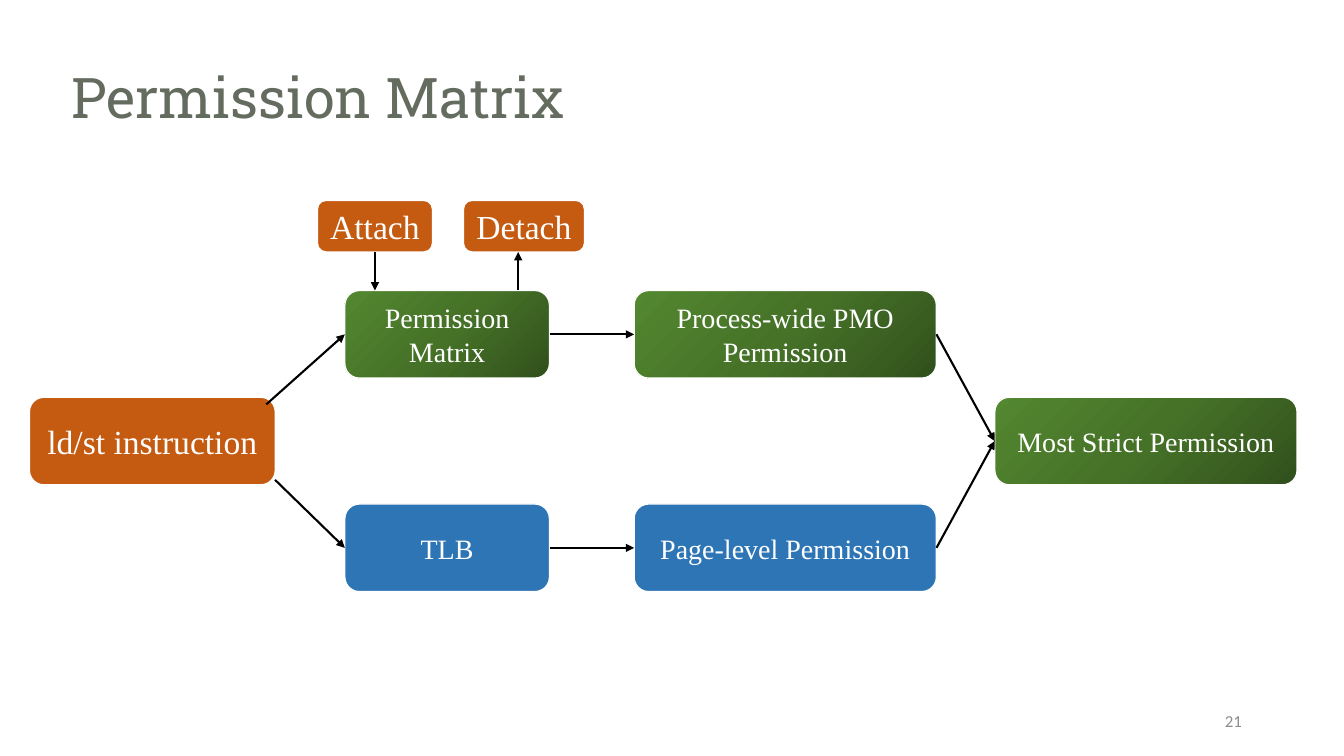
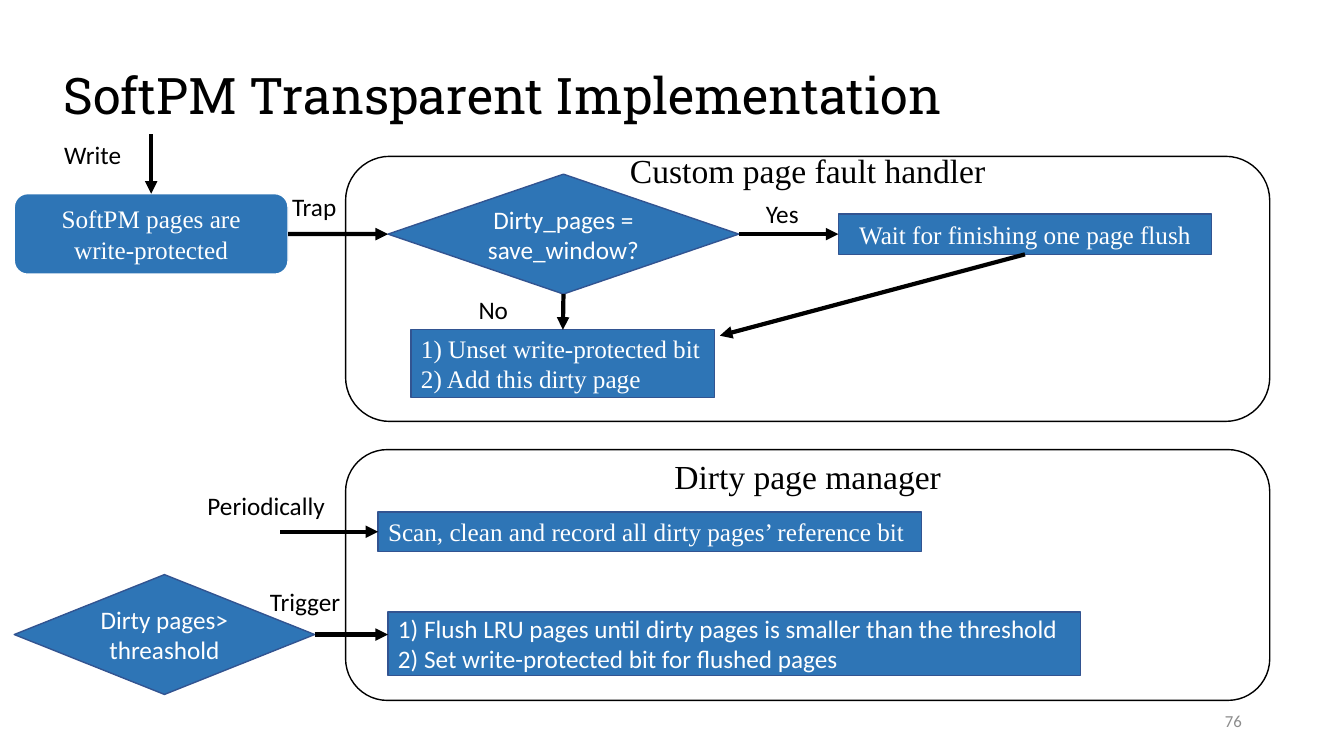
from copy import deepcopy
from dataclasses import dataclass

from lxml.etree import SubElement
from pptx import Presentation
from pptx.dml.color import RGBColor
from pptx.enum.shapes import MSO_CONNECTOR, MSO_SHAPE
from pptx.enum.text import MSO_ANCHOR, MSO_AUTO_SIZE, PP_ALIGN
from pptx.oxml.ns import qn
from pptx.shapes.autoshape import Shape
from pptx.util import Cm, Pt


@dataclass(frozen=True)
class Theme:
    # Colours
    white: str = "FFFFFF"
    black: str = "000000"
    sage: str = "646B5F"
    grey: str = "8C8C8C"
    orange: str = "C55A11"
    blue: str = "2E75B6"
    navy: str = "325491"
    greens: tuple = ("31501C", "467228", "538730")
    # Fonts
    heading: str = "Roboto Slab"
    serif: str = "Times New Roman"
    sans: str = "Calibri"
    # Type sizes and line widths in points
    title: int = 40
    long_title: int = 36
    large: int = 24
    medium: int = 20
    body: int = 18
    small: int = 12
    outline: float = 1
    thin_arrow: float = 1.5
    thick_arrow: float = 3


T = Theme()
TOP, LEFT, BOTTOM, RIGHT = range(4)


@dataclass(frozen=True)
class Box:
    """A region in centimetres."""
    x: float
    y: float
    w: float
    h: float

    def sub(self, dx, dy, w, h):
        return Box(self.x + dx, self.y + dy, w, h)

    def point(self, dx, dy):
        return self.x + dx, self.y + dy

    def lengths(self):
        return Cm(self.x), Cm(self.y), Cm(self.w), Cm(self.h)


def rgb(value):
    return RGBColor.from_string(value)


# Text
def write(tf, lines, size, font, color, align=PP_ALIGN.LEFT,
          anchor=MSO_ANCHOR.MIDDLE, spacing=None):
    tf.word_wrap = True
    tf.auto_size = MSO_AUTO_SIZE.NONE
    tf.vertical_anchor = anchor
    for i, line in enumerate(lines):
        p = tf.paragraphs[0] if i == 0 else tf.add_paragraph()
        p.alignment = align
        if spacing:
            p.line_spacing = spacing
        r = p.add_run()
        r.text = line
        r.font.size, r.font.name = Pt(size), font
        r.font.color.rgb = rgb(color)


def add_text(slide, box, text, size=T.body, font=T.sans, color=T.black,
             align=PP_ALIGN.LEFT, anchor=MSO_ANCHOR.TOP):
    tf = slide.shapes.add_textbox(*box.lengths()).text_frame
    write(tf, [text], size, font, color, align, anchor)


# Shapes
def fill_gradient(sp):
    sp.fill.gradient()
    sp.fill.gradient_angle = 135
    stops = sp._element.spPr.find(".//" + qn("a:gsLst"))
    stops.insert(1, deepcopy(stops[0]))
    for i, stop in enumerate(sp.fill.gradient_stops):
        stop.position = i / 2
        stop.color.rgb = rgb(T.greens[i])


def add_box(slide, box, kind, fill, line):
    sp = slide.shapes.add_shape(kind, *box.lengths())
    sp.shadow.inherit = False
    if fill is None:
        sp.fill.background()
    elif fill == T.greens:
        fill_gradient(sp)
    else:
        sp.fill.solid()
        sp.fill.fore_color.rgb = rgb(fill)
    sp.line.color.rgb = rgb(line)
    sp.line.width = Pt(T.outline)
    return sp


def add_node(slide, box, *lines, kind=MSO_SHAPE.ROUNDED_RECTANGLE, fill=T.blue,
             line=T.white, size=T.body, font=T.serif, align=PP_ALIGN.CENTER):
    sp = add_box(slide, box, kind, fill, line)
    tf = sp.text_frame
    tf.margin_left = tf.margin_right = Cm(0.25 if align == PP_ALIGN.LEFT else 0.1)
    write(tf, lines, size, font, T.white, align)
    return sp


def add_process(slide, box, *lines, font=T.serif, align=PP_ALIGN.LEFT):
    return add_node(slide, box, *lines, kind=MSO_SHAPE.FLOWCHART_PROCESS,
                    line=T.navy, font=font, align=align)


def add_decision(slide, box, text):
    return add_node(slide, box, text, kind=MSO_SHAPE.FLOWCHART_DECISION,
                    line=T.navy, font=T.sans)


def add_panel(slide, box, heading, heading_y):
    add_box(slide, box, MSO_SHAPE.ROUNDED_RECTANGLE, None, T.black)
    add_text(slide, box.sub(0, heading_y, box.w, 1.02), heading, T.large, T.serif,
             align=PP_ALIGN.CENTER, anchor=MSO_ANCHOR.MIDDLE)


def add_arrow(slide, start, end, width):
    """Each end is a point or a pair of shape and connection site."""
    joins = [isinstance(e[0], Shape) for e in (start, end)]
    points = [(0, 0) if joined else e for joined, e in zip(joins, (start, end))]
    cx = slide.shapes.add_connector(
        MSO_CONNECTOR.STRAIGHT, *(Cm(v) for xy in points for v in xy))
    if joins[0]:
        cx.begin_connect(*start)
    if joins[1]:
        cx.end_connect(*end)
    cx.line.color.rgb = rgb(T.black)
    cx.line.width = Pt(width)
    SubElement(cx.line._get_or_add_ln(), qn("a:tailEnd"), type="triangle")
    SubElement(cx._element.spPr, qn("a:effectLst"))


# Title and page number
def new_slide(prs, title, box, size, color, number):
    slide = prs.slides.add_slide(prs.slide_layouts[5])
    sp = slide.shapes.title
    sp.left, sp.top, sp.width, sp.height = box.lengths()
    write(sp.text_frame, [title], size, T.heading, color, spacing=0.9)
    add_text(slide, Box(23.93, 17.65, 7.62, 1.02), number, T.small, color=T.grey,
             align=PP_ALIGN.RIGHT, anchor=MSO_ANCHOR.MIDDLE)
    return slide


# Permission checks, from the instruction to the result
def permission_flow(slide, box):
    h, check_w, result_w = 2.21, 5.16, 7.62
    check_x, result_x, final_x = 7.95, 15.24, 24.33
    upper, lower = 2.27, 7.65
    middle = (upper + lower) / 2

    def node(x, y, w, *lines, fill=T.greens, size=T.medium, height=h):
        return add_node(slide, box.sub(x, y, w, height), *lines, fill=fill, size=size)

    def arrow(start, end):
        add_arrow(slide, start, end, T.thin_arrow)

    node(0, middle, 6.2, "ld/st instruction", fill=T.orange, size=T.large)
    matrix = node(check_x, upper, check_w, "Permission", "Matrix")
    tlb = node(check_x, lower, check_w, "TLB", fill=T.blue)
    process = node(result_x, upper, result_w, "Process-wide PMO Permission")
    page = node(result_x, lower, result_w, "Page-level Permission", fill=T.blue)
    strict = node(final_x, middle, result_w, "Most Strict Permission")
    attach = node(7.26, 0, 2.9, "Attach", fill=T.orange, size=T.large, height=1.3)
    node(10.94, 0, 3.05, "Detach", fill=T.orange, size=T.large, height=1.3)

    arrow(box.point(5.97, 5.14), (matrix, LEFT))
    arrow(box.point(6.19, 7.04), (tlb, LEFT))
    for check, result in ((matrix, process), (tlb, page)):
        arrow((check, RIGHT), (result, LEFT))
        arrow((result, RIGHT), (strict, LEFT))
    arrow((attach, BOTTOM), box.point(8.71, upper))
    arrow(box.point(12.32, upper), box.point(12.32, 1.3))


# A write traps into the page fault handler
def fault_flow(slide, box):
    panel = box.sub(8.35, 0.56, 23.29, 6.68)
    add_panel(slide, panel, "Custom page fault handler", -0.17)
    entry = add_node(slide, box.sub(0, 1.5, 6.9, 2.03),
                     "SoftPM pages are", "write-protected")
    full = add_decision(slide, panel.sub(1.07, 0.45, 8.84, 3.02),
                        "Dirty_pages = save_window?")
    wait = add_process(slide, panel.sub(12.42, 1.45, 9.4, 1.02),
                       "Wait for finishing one page flush", align=PP_ALIGN.CENTER)
    unset = add_process(slide, panel.sub(1.65, 4.37, 7.65, 1.7),
                        "1) Unset write-protected bit", "2) Add this dirty page")

    for start, end in ((box.point(3.45, 0), (entry, TOP)),
                       ((entry, RIGHT), (full, LEFT)),
                       ((full, RIGHT), (wait, LEFT)),
                       ((full, BOTTOM), (unset, TOP)),
                       ((wait, BOTTOM), panel.point(9.43, 4.52))):
        add_arrow(slide, start, end, T.thick_arrow)
    for text, x, y in (("Write", 1.01, 0), ("Trap", 6.75, 1.32),
                       ("Yes", 18.69, 1.5), ("No", 11.45, 3.91)):
        add_text(slide, box.sub(x, y, 2, 1.02), text)


# Timer and threshold start the dirty page manager
def manager_flow(slide, box):
    panel = box.sub(8.35, 0, 23.29, 6.32)
    add_panel(slide, panel, "Dirty page manager", 0.15)
    scan = add_process(slide, panel.sub(0.82, 1.57, 13.69, 1),
                       "Scan, clean and record all dirty pages’ reference bit")
    limit = add_decision(slide, box.sub(0, 3.15, 7.57, 3.02),
                         "Dirty pages> threashold")
    add_process(slide, panel.sub(1.07, 4.09, 17.45, 1.6),
                "1) Flush LRU pages until dirty pages is smaller than the threshold",
                "2) Set write-protected bit for flushed pages", font=T.sans)

    add_arrow(slide, box.point(6.7, 2.07), (scan, LEFT), T.thick_arrow)
    add_arrow(slide, (limit, RIGHT), panel.point(1.07, 4.66), T.thick_arrow)
    for text, x, y in (("Periodically", 4.62, 0.89), ("Trigger", 6.19, 3.33)):
        add_text(slide, box.sub(x, y, 3.73, 1.02), text)


def main():
    prs = Presentation()
    prs.slide_width, prs.slide_height = Cm(33.87), Cm(19.05)

    slide = new_slide(prs, "Permission Matrix", Box(1.55, 1.52, 30.78, 2.03),
                      T.title, T.sage, "21")
    permission_flow(slide, Box(0.74, 5.05, 31.95, 9.86))

    slide = new_slide(prs, "SoftPM Transparent Implementation",
                      Box(1.35, 1.57, 31.22, 1.8), T.long_title, T.black, "76")
    fault_flow(slide, Box(0.36, 3.38, 31.64, 7.24))
    manager_flow(slide, Box(0.36, 11.33, 31.64, 6.32))

    prs.save("out.pptx")


if __name__ == "__main__":
    main()
